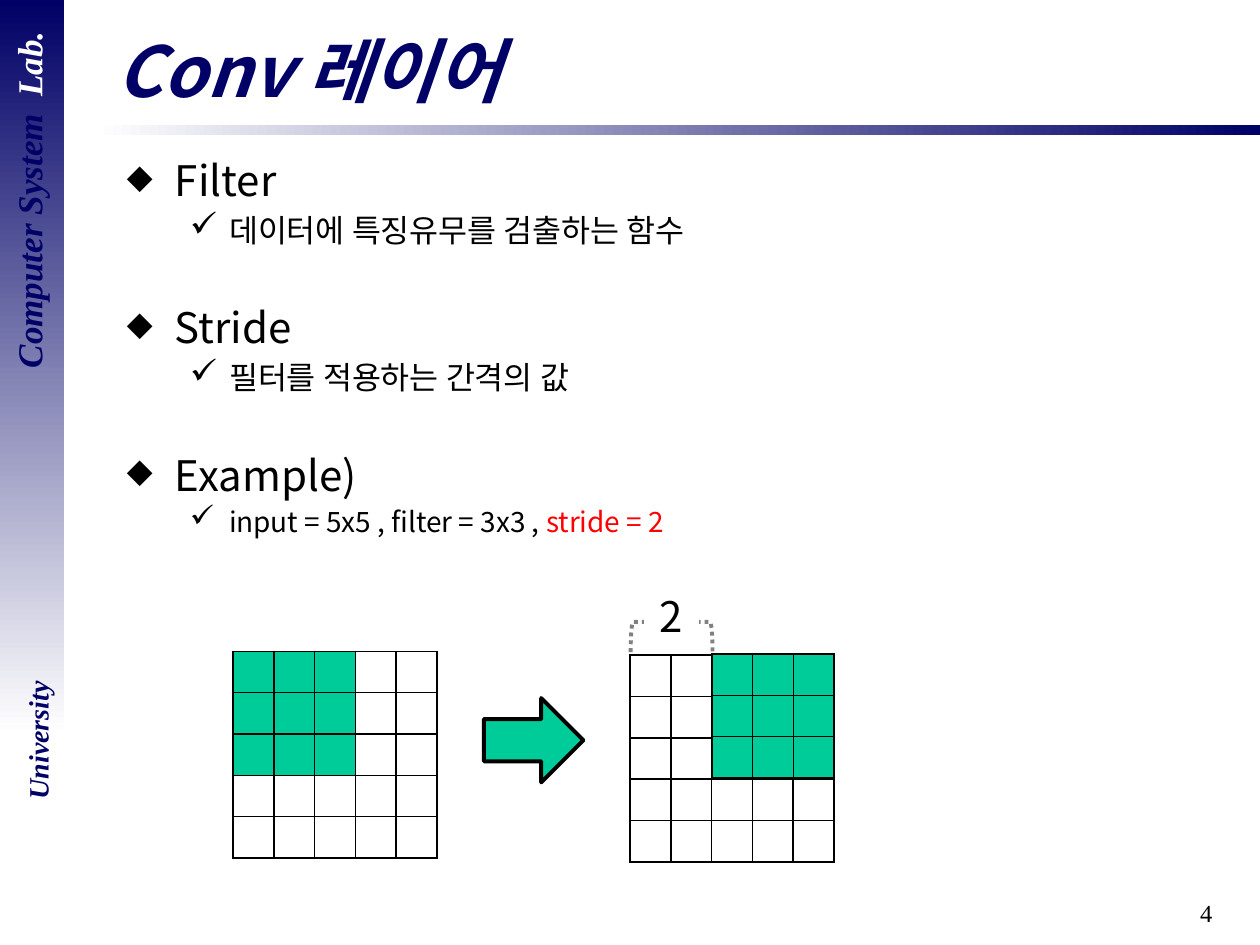
"""Build the Conv layer slide that explains filter and stride."""
from dataclasses import dataclass

from lxml.etree import SubElement
from pptx import Presentation
from pptx.dml.color import RGBColor
from pptx.enum.dml import MSO_LINE
from pptx.enum.shapes import MSO_SHAPE
from pptx.enum.text import MSO_ANCHOR, PP_ALIGN
from pptx.oxml.ns import qn
from pptx.util import Inches, Pt

COLORS = {
    "navy": "000066",
    "white": "FFFFFF",
    "black": "000000",
    "red": "FF0000",
    "green": "00CC99",
    "gray": "808080",
}
SANS = "Noto Sans CJK KR"
SERIF = "Times New Roman"
CELL_WIDTH = Inches(1.62 / 5)
CELL_HEIGHT = Inches(1.64 / 5)


@dataclass(frozen=True)
class Box:
    left: float
    top: float
    width: float
    height: float
    rotation: float = 0

    def lengths(self):
        return [Inches(n) for n in (self.left, self.top, self.width, self.height)]


@dataclass(frozen=True)
class Level:
    margin: float
    hang: float
    bullet: str
    bullet_percent: int


@dataclass(frozen=True)
class Line:
    level: Level
    text: str
    size: int
    pitch: int
    before: int = 0
    highlight: str = ""


@dataclass(frozen=True)
class Grid:
    left: float
    top: float
    count: int
    color: str = ""


TOPIC = Level(0.38, 0.38, "◆", 80)
DETAIL = Level(0.81, 0.31, "✓", 110)
OUTLINE = [
    Line(TOPIC, "Filter", 24, 31),
    Line(DETAIL, "데이터에 특징유무를 검출하는 함수", 18, 25),
    Line(TOPIC, "Stride", 24, 31, 28),
    Line(DETAIL, "필터를 적용하는 간격의 값", 18, 25),
    Line(TOPIC, "Example)", 24, 31, 28),
    Line(DETAIL, "input = 5x5 , filter = 3x3 , ", 16, 22, highlight="stride = 2"),
]
GRIDS = [
    Grid(1.85, 5.17, 3, "green"),
    Grid(1.85, 5.17, 5),
    Grid(5, 5.2, 5),
    Grid(5.65, 5.19, 3, "green"),
]


def rgb(color: str) -> RGBColor:
    return RGBColor.from_string(COLORS[color])


def write(paragraph, text: str, *, size: int, font: str = SANS, color: str = "black",
          slanted: bool = False, align=None) -> None:
    run = paragraph.add_run()
    run.text = text
    run.font.size = Pt(size)
    run.font.name = font
    run.font.bold = run.font.italic = slanted
    run.font.color.rgb = rgb(color)
    SubElement(run.font._element, qn("a:ea"), typeface=font)
    if align is not None:
        paragraph.alignment = align


def add_frame(slide, box: Box, anchor=MSO_ANCHOR.TOP):
    holder = slide.shapes.add_textbox(*box.lengths())
    holder.rotation = box.rotation
    holder.text_frame.word_wrap = True
    holder.text_frame.vertical_anchor = anchor
    return holder.text_frame


def add_figure(slide, kind, box: Box, fill: str = "", line: str = ""):
    figure = slide.shapes.add_shape(kind, *box.lengths())
    figure.rotation = box.rotation
    figure.shadow.inherit = False
    if fill:
        figure.fill.solid()
        figure.fill.fore_color.rgb = rgb(fill)
    else:
        figure.fill.background()
    if line:
        figure.line.color.rgb = rgb(line)
        figure.line.width = Pt(2.25)
    else:
        figure.line.fill.background()
    return figure


def add_gradient_bar(slide, box: Box, start: str, end: str) -> None:
    bar = add_figure(slide, MSO_SHAPE.RECTANGLE, box)
    bar.fill.gradient()
    bar.fill.gradient_angle = 0
    for stop, color in zip(bar.fill.gradient_stops, (start, end)):
        stop.color.rgb = rgb(color)


def add_outline(slide, box: Box, lines: list[Line]) -> None:
    frame = add_frame(slide, box)
    for index, line in enumerate(lines):
        paragraph = frame.add_paragraph() if index else frame.paragraphs[0]
        paragraph.line_spacing = Pt(line.pitch)
        paragraph.space_before = Pt(line.before)
        properties = paragraph._p.get_or_add_pPr()
        properties.set("marL", str(Inches(line.level.margin)))
        properties.set("indent", str(-Inches(line.level.hang)))
        SubElement(properties, qn("a:buSzPct"), val=str(line.level.bullet_percent * 1000))
        SubElement(properties, qn("a:buChar"), char=line.level.bullet)
        write(paragraph, line.text, size=line.size)
        if line.highlight:
            write(paragraph, line.highlight, size=line.size, color="red")


def style_cell(cell, color: str) -> None:
    cell.margin_left = cell.margin_right = cell.margin_top = cell.margin_bottom = 0
    properties = cell._tc.get_or_add_tcPr()
    for side in ("lnL", "lnR", "lnT", "lnB"):
        border = SubElement(properties, qn(f"a:{side}"), w=str(Pt(1)))
        paint = SubElement(border, qn("a:solidFill"))
        SubElement(paint, qn("a:srgbClr"), val=COLORS["black"])
    if color:
        cell.fill.solid()
        cell.fill.fore_color.rgb = rgb(color)
    else:
        cell.fill.background()


def add_grid(slide, grid: Grid) -> None:
    table = slide.shapes.add_table(
        grid.count, grid.count, Inches(grid.left), Inches(grid.top),
        CELL_WIDTH * grid.count, CELL_HEIGHT * grid.count).table
    table.first_row = table.horz_banding = False
    for cell in table.iter_cells():
        style_cell(cell, grid.color)


def main() -> None:
    deck = Presentation()
    deck.slide_width, deck.slide_height = Inches(10), Inches(7.5)
    slide = deck.slides.add_slide(deck.slide_layouts[6])

    add_gradient_bar(slide, Box(0.75, 0.99, 9.25, 0.08), "white", "navy")
    page = add_frame(slide, Box(7.64, 7.08, 2.08, 0.42)).paragraphs[0]
    write(page, "4", size=14, font=SERIF, align=PP_ALIGN.RIGHT)

    add_gradient_bar(slide, Box(-2.66, 2.66, 5.83, 0.51, 90), "navy", "white")
    lab = add_frame(slide, Box(-1.31, 1.37, 3.07, 0.43, 270)).paragraphs[0]
    for text, color in (("Computer System  ", "navy"), ("Lab.", "white")):
        write(lab, text, size=20, font=SERIF, color=color, slanted=True, align=PP_ALIGN.CENTER)
    school = add_frame(slide, Box(-0.41, 5.69, 1.42, 0.37, 270)).paragraphs[0]
    write(school, "University", size=16, font=SERIF, color="navy", slanted=True,
          align=PP_ALIGN.CENTER)

    title = add_frame(slide, Box(0.83, 0.17, 8.9, 0.77), MSO_ANCHOR.MIDDLE).paragraphs[0]
    write(title, "Conv 레이어", size=40, color="navy", slanted=True)
    add_outline(slide, Box(0.91, 1.15, 8.74, 3.7), OUTLINE)

    for grid in GRIDS:
        add_grid(slide, grid)
    add_figure(slide, MSO_SHAPE.RIGHT_ARROW, Box(3.84, 5.54, 0.79, 0.67), "green", "black")
    bracket = add_figure(slide, MSO_SHAPE.RIGHT_BRACKET, Box(5.21, 4.73, 0.24, 0.65, 270),
                         line="gray")
    bracket.line.dash_style = MSO_LINE.ROUND_DOT
    stride = add_figure(slide, MSO_SHAPE.RECTANGLE, Box(5.13, 4.64, 0.4, 0.5), "white", "white")
    stride.text_frame.word_wrap = False
    write(stride.text_frame.paragraphs[0], "2", size=24, align=PP_ALIGN.CENTER)

    deck.save("out.pptx")


if __name__ == "__main__":
    main()
